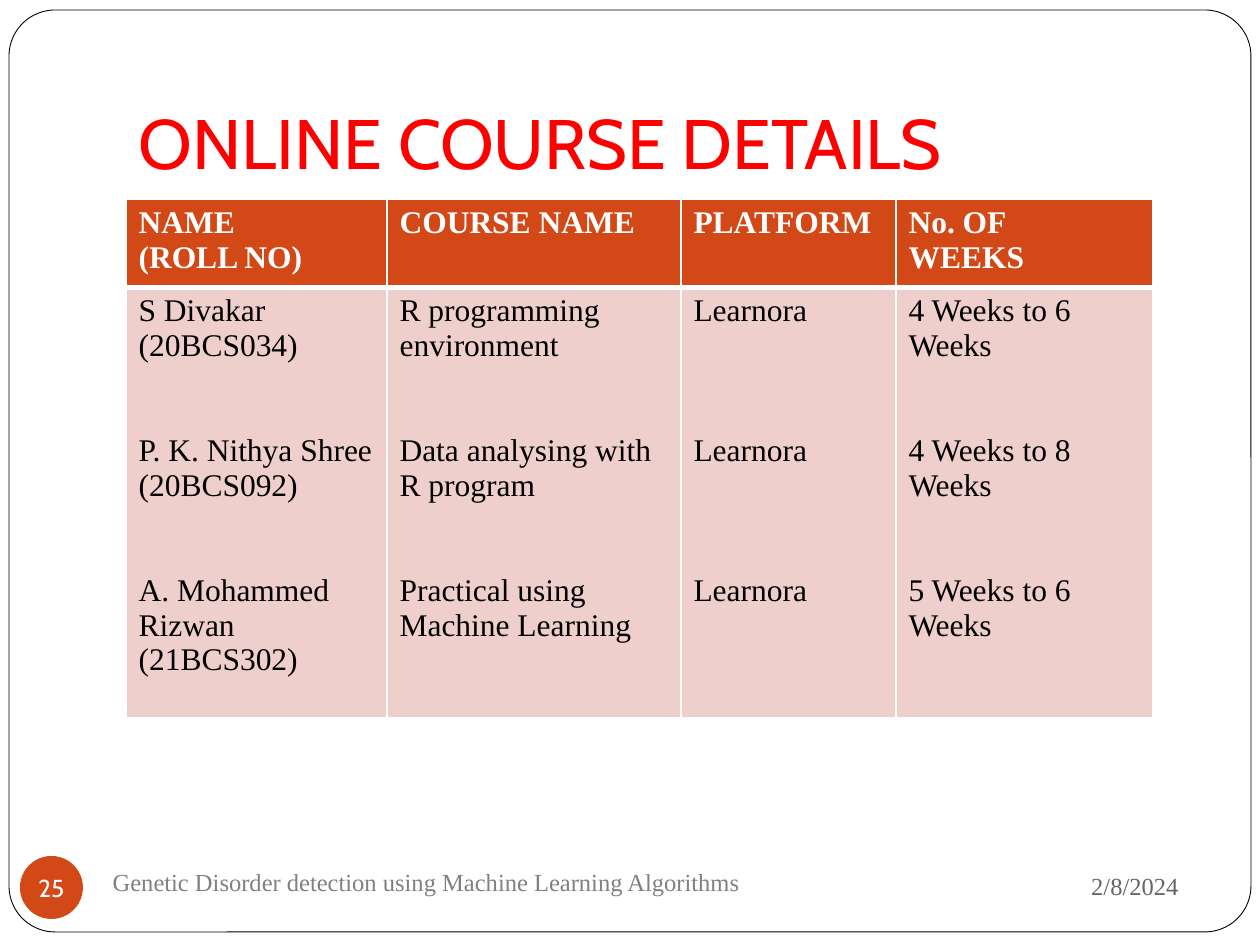
from dataclasses import dataclass

from lxml.etree import SubElement
from pptx import Presentation
from pptx.dml.color import RGBColor
from pptx.enum.shapes import MSO_SHAPE
from pptx.enum.text import MSO_ANCHOR, MSO_AUTO_SIZE, PP_ALIGN
from pptx.oxml.ns import qn
from pptx.util import Emu, Inches, Pt


@dataclass(frozen=True)
class Theme:
    heading: str = "Cabin"
    body: str = "Times New Roman"
    accent: str = "D34817"
    tint: str = "EFCFCC"
    white: str = "FFFFFF"
    black: str = "000000"
    red: str = "FF0000"
    date: str = "696464"
    footer: str = "808080"
    title_size: int = 40
    table_size: int = 18
    small_size: int = 14


def px(n):
    return Emu(round(n * 914400 / 126))


def rgb(color):
    return RGBColor.from_string(color)


class Deck:
    def __init__(self, theme):
        self.t = theme
        self.prs = Presentation()
        self.prs.slide_width, self.prs.slide_height = Inches(10), Inches(7.5)
        self.s = self.prs.slides.add_slide(self.prs.slide_layouts[5])

    def add_lines(self, tf, lines, font, size, color, bold=False,
                  align=PP_ALIGN.LEFT, gaps=()):
        for i, line in enumerate(lines):
            p = tf.add_paragraph() if i else tf.paragraphs[0]
            p.alignment = align
            if i < len(gaps):
                p.space_before = Pt(gaps[i])
            r = p.add_run()
            r.text = line
            r.font.name, r.font.size, r.font.bold = font, Pt(size), bold
            r.font.color.rgb = rgb(color)

    def shape(self, kind, x, y, w, h, fill, line=None):
        sp = self.s.shapes.add_shape(kind, px(x), px(y), px(w), px(h))
        sp.shadow.inherit = False
        sp.fill.solid()
        sp.fill.fore_color.rgb = rgb(fill)
        if line:
            sp.line.color.rgb = rgb(line)
            sp.line.width = Pt(0.5)
        else:
            sp.line.fill.background()
        return sp

    def frame(self, x, y, w, h):
        sp = self.shape(MSO_SHAPE.ROUNDED_RECTANGLE, x, y, w, h,
                        self.t.white, self.t.black)
        sp.adjustments[0] = 0.05

    def title(self, text, x, y, w, h):
        sp = self.s.shapes.title
        sp.left, sp.top, sp.width, sp.height = px(x), px(y), px(w), px(h)
        tree = self.s.shapes._spTree
        tree.remove(sp._element)
        tree.append(sp._element)
        tf = sp.text_frame
        tf.auto_size = MSO_AUTO_SIZE.NONE
        tf.vertical_anchor = MSO_ANCHOR.BOTTOM
        tf.margin_bottom = Inches(0.1)
        self.add_lines(tf, [text], self.t.heading, self.t.title_size, self.t.red)

    def text(self, text, x, y, w, h, color, align, anchor):
        tf = self.s.shapes.add_textbox(px(x), px(y), px(w), px(h)).text_frame
        tf.word_wrap = True
        tf.vertical_anchor = anchor
        self.add_lines(tf, [text], self.t.body, self.t.small_size, color, align=align)

    def badge(self, text, x, y, d):
        tf = self.shape(MSO_SHAPE.OVAL, x, y, d, d, self.t.accent).text_frame
        tf.margin_left = tf.margin_right = tf.margin_top = tf.margin_bottom = 0
        tf.word_wrap = False
        tf.vertical_anchor = MSO_ANCHOR.MIDDLE
        self.add_lines(tf, [text], self.t.heading, self.t.small_size, self.t.white,
                       align=PP_ALIGN.CENTER)

    def borders(self, cell, **widths):
        tcPr = cell._tc.get_or_add_tcPr()
        for i, (side, width) in enumerate(widths.items()):
            ln = SubElement(tcPr, qn(f"a:ln{side}"), w=str(int(Pt(width))))
            fill = SubElement(ln, qn("a:solidFill"))
            SubElement(fill, qn("a:srgbClr"), val=self.t.white)
            tcPr.insert(i, ln)

    def cell(self, cell, lines, fill, color, bold, gaps, top, bottom):
        cell.fill.solid()
        cell.fill.fore_color.rgb = rgb(fill)
        self.borders(cell, L=1, R=1, T=top, B=bottom)
        self.add_lines(cell.text_frame, lines, self.t.body, self.t.table_size,
                       color, bold, gaps=gaps)

    def table(self, x, y, widths, heights, columns):
        tb = self.s.shapes.add_table(len(heights), len(widths), px(x), px(y),
                                     px(sum(widths)), px(sum(heights))).table
        tb.horz_banding = False
        for row, h in zip(tb.rows, heights):
            row.height = px(h)
        for c, (w, (head, body, gaps)) in enumerate(zip(widths, columns)):
            tb.columns[c].width = px(w)
            self.cell(tb.cell(0, c), head, self.t.accent, self.t.white, True, (), 1, 3)
            self.cell(tb.cell(1, c), body, self.t.tint, self.t.black, False, gaps, 3, 1)


def main():
    t = Theme()
    d = Deck(t)
    two_lines, three_lines = (0, 40, 40), (0, 60, 60)
    columns = [
        (["NAME", "(ROLL NO)"],
         ["S Divakar (20BCS034)", "P. K. Nithya Shree (20BCS092)",
          "A. Mohammed Rizwan", "(21BCS302)"], two_lines),
        (["COURSE NAME"],
         ["R programming environment", "Data analysing with R program",
          "Practical using Machine Learning"], two_lines),
        (["PLATFORM"], ["Learnora"] * 3, three_lines),
        (["No. OF", "WEEKS"],
         [f"{a} Weeks to {b} Weeks" for a, b in ((4, 6), (4, 8), (5, 6))], two_lines),
    ]
    d.frame(9, 10, 1242, 922)
    d.title("ONLINE COURSE DETAILS", 126, 38, 1071, 158)
    d.text("2/8/2024", 850, 853, 341, 66, t.date, PP_ALIGN.RIGHT, MSO_ANCHOR.MIDDLE)
    d.badge("25", 20, 856, 63)
    d.table(126, 199, [261, 294, 215, 257], [83, 430], columns)
    d.text("Genetic Disorder detection using Machine Learning Algorithms",
           83, 861, 687, 63, t.footer, PP_ALIGN.CENTER, MSO_ANCHOR.TOP)
    d.prs.save("out.pptx")


if __name__ == "__main__":
    main()
